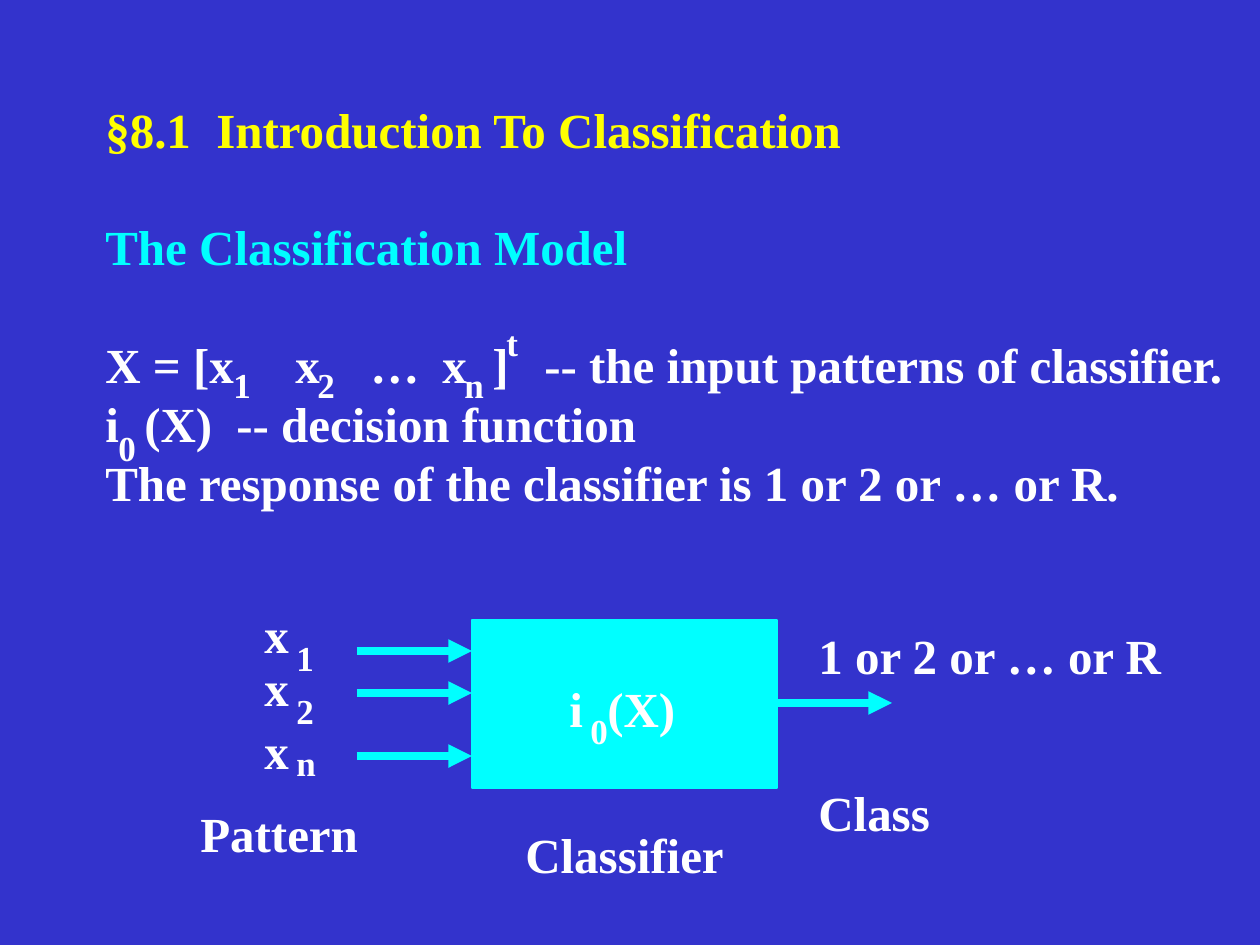
from lxml import etree
from pptx import Presentation
from pptx import util as u
from pptx.dml.color import RGBColor
from pptx.enum import shapes, text
from pptx.oxml.ns import qn

PX_PER_INCH = 126
FONT = "Times New Roman"
BLUE, YELLOW, CYAN, WHITE = "3333CC", "FFFF00", "00FFFF", "FFFFFF"
BODY_SIZE, INDEX_SIZE = 28, 20
BODY_HEIGHT, INDEX_HEIGHT = 72, 55
BLANK_LINE = 33.6


def px(length):
    return u.Emu(round(length * u.Inches(1) / PX_PER_INCH))


def color(hex_string):
    return RGBColor.from_string(hex_string)


def set_tabs(paragraph, stops):
    """Add left tab stops, in px from the start of the text."""
    properties = paragraph._p.get_or_add_pPr()
    tab_list = etree.SubElement(properties, qn("a:tabLst"))
    for stop in stops:
        etree.SubElement(tab_list, qn("a:tab"), pos=str(px(stop)), algn="l")


def format_paragraph(paragraph, content, size, hex_string, stops=()):
    paragraph.text = content
    if stops:
        set_tabs(paragraph, stops)
    for run in paragraph.runs:
        run.font.name = FONT
        run.font.size = u.Pt(size)
        run.font.bold = True
        run.font.color.rgb = color(hex_string)


def add_text_box(slide, left, top, width, height):
    text_box = slide.shapes.add_textbox(px(left), px(top), px(width), px(height))
    text_frame = text_box.text_frame
    text_frame.word_wrap = False
    text_frame.auto_size = text.MSO_AUTO_SIZE.SHAPE_TO_FIT_TEXT
    return text_frame


def add_label(slide, content, left, top, width, stops=()):
    text_frame = add_text_box(slide, left, top, width, BODY_HEIGHT)
    format_paragraph(text_frame.paragraphs[0], content, BODY_SIZE, WHITE, stops)


def add_index(slide, content, left, top):
    """Add a small raised or lowered character."""
    text_frame = add_text_box(slide, left, top, 44, INDEX_HEIGHT)
    format_paragraph(text_frame.paragraphs[0], content, INDEX_SIZE, WHITE)


def add_arrow(slide, left, top, length):
    arrow = slide.shapes.add_connector(
        shapes.MSO_CONNECTOR.STRAIGHT, px(left), px(top), px(left + length), px(top))
    arrow.line.color.rgb = color(CYAN)
    arrow.line.width = u.Pt(4.5)
    etree.SubElement(arrow.line._get_or_add_ln(), qn("a:tailEnd"), type="triangle")
    etree.SubElement(arrow._element.spPr, qn("a:effectLst"))


def add_definitions(slide, left, top, width, height):
    lines = [
        ("§8.1\tIntroduction To Classification", YELLOW, 0, [111]),
        ("The Classification Model", CYAN, BLANK_LINE, []),
        ("X = [x\tx\t…\tx\t]\t-- the input patterns of classifier.", WHITE,
         BLANK_LINE, [190, 265, 337, 387, 439]),
        ("i\t(X)\t-- decision function", WHITE, 0, [39, 131]),
        ("The response of the classifier is 1 or 2 or … or R.", WHITE, 0, []),
    ]
    text_frame = add_text_box(slide, left, top, width, height)
    for number, (content, hex_string, gap, stops) in enumerate(lines):
        paragraph = text_frame.add_paragraph() if number else text_frame.paragraphs[0]
        paragraph.space_before = u.Pt(gap)
        format_paragraph(paragraph, content, BODY_SIZE, hex_string, stops)

    indices = [("t", 401, 222), ("1", 128, 264), ("2", 212, 264),
               ("n", 359, 264), ("0", 13, 327)]
    for content, x, y in indices:
        add_index(slide, content, left + x, top + y)


def add_inputs(slide, left, top):
    rows = [("1", 0, 32, 53), ("2", 53, 85, 95), ("n", 116, 137, 158)]
    for index, label_top, index_top, arrow_top in rows:
        add_label(slide, "x", left + 64, top + label_top, 62)
        add_index(slide, index, left + 96, top + index_top)
        add_arrow(slide, left + 169, top + arrow_top, 115)
    add_label(slide, "Pattern", left, top + 199, 186)


def add_classifier(slide, left, top, width, height):
    block = slide.shapes.add_shape(
        shapes.MSO_SHAPE.RECTANGLE, px(left), px(top), px(width), px(height))
    block.shadow.inherit = False
    block.fill.solid()
    block.fill.fore_color.rgb = color(CYAN)
    block.line.color.rgb = color(CYAN)
    block.line.width = u.Pt(0.75)
    add_label(slide, "i\t(X)", left + 85, top + 52, 134, [38])
    add_index(slide, "0", left + 106, top + 83)
    add_label(slide, "Classifier", left + 41, top + 198, 228)


def add_output(slide, left, top):
    add_arrow(slide, left, top + 84, 115)
    add_label(slide, "1 or 2 or … or R", left + 29, top, 374)
    add_label(slide, "Class", left + 29, top + 157, 141)


def main():
    presentation = Presentation()
    presentation.slide_width = px(1260)
    presentation.slide_height = px(945)
    slide = presentation.slides.add_slide(presentation.slide_layouts[6])
    slide.background.fill.solid()
    slide.background.fill.fore_color.rgb = color(BLUE)
    add_definitions(slide, 93, 93, 1148, 425)
    add_classifier(slide, 472, 620, 305, 168)
    add_inputs(slide, 188, 598)
    add_output(slide, 777, 619)
    presentation.save("out.pptx")


if __name__ == "__main__":
    main()
